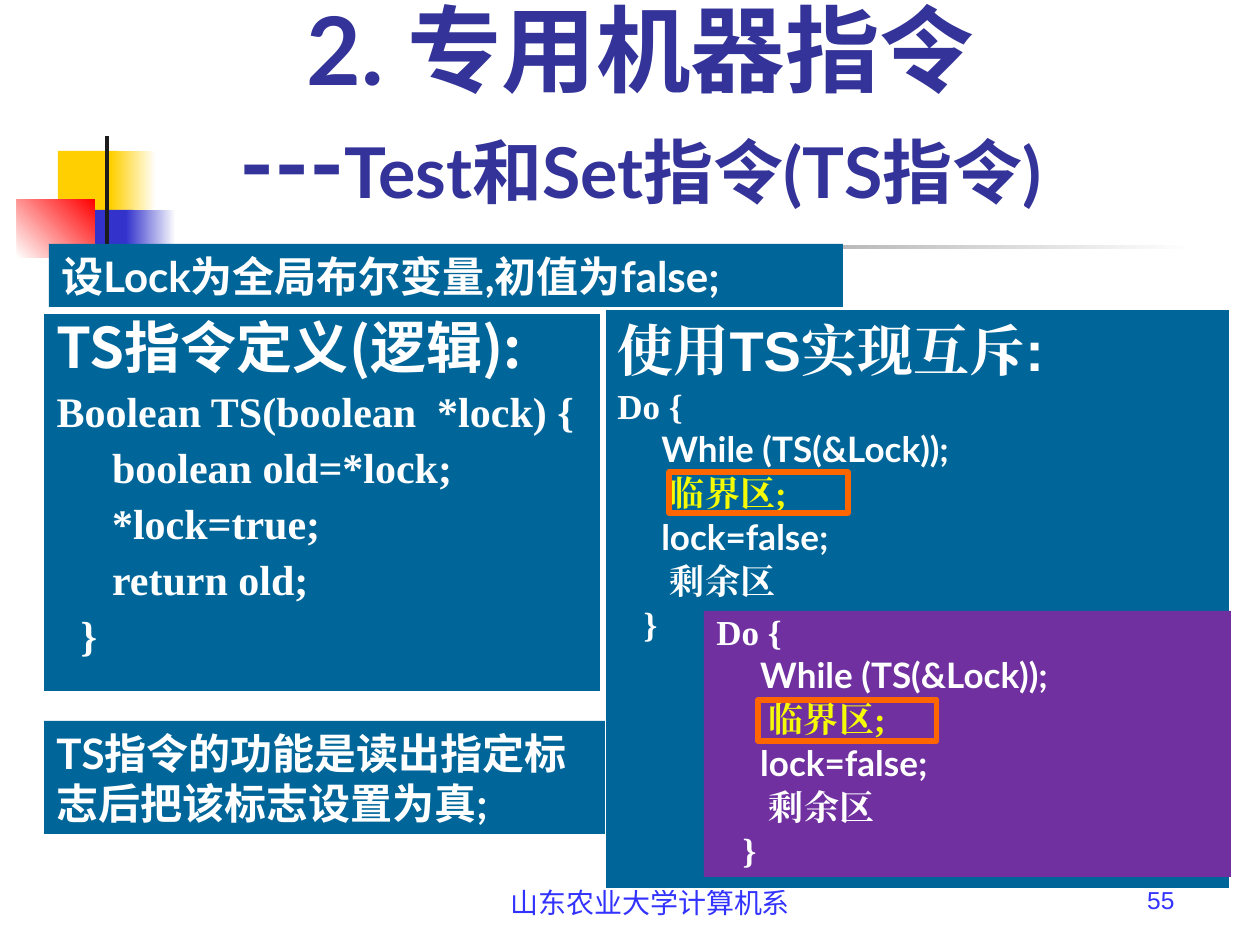
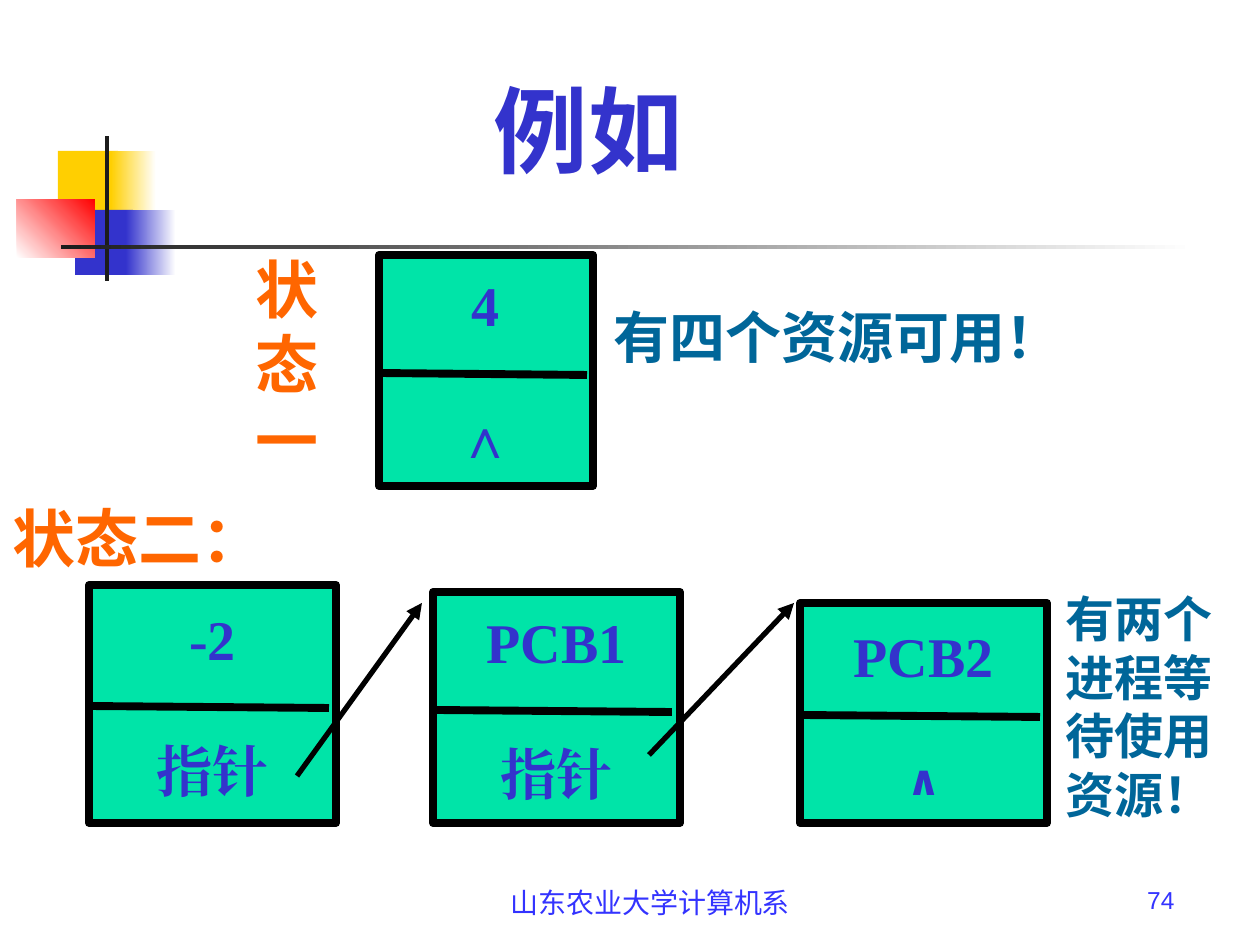
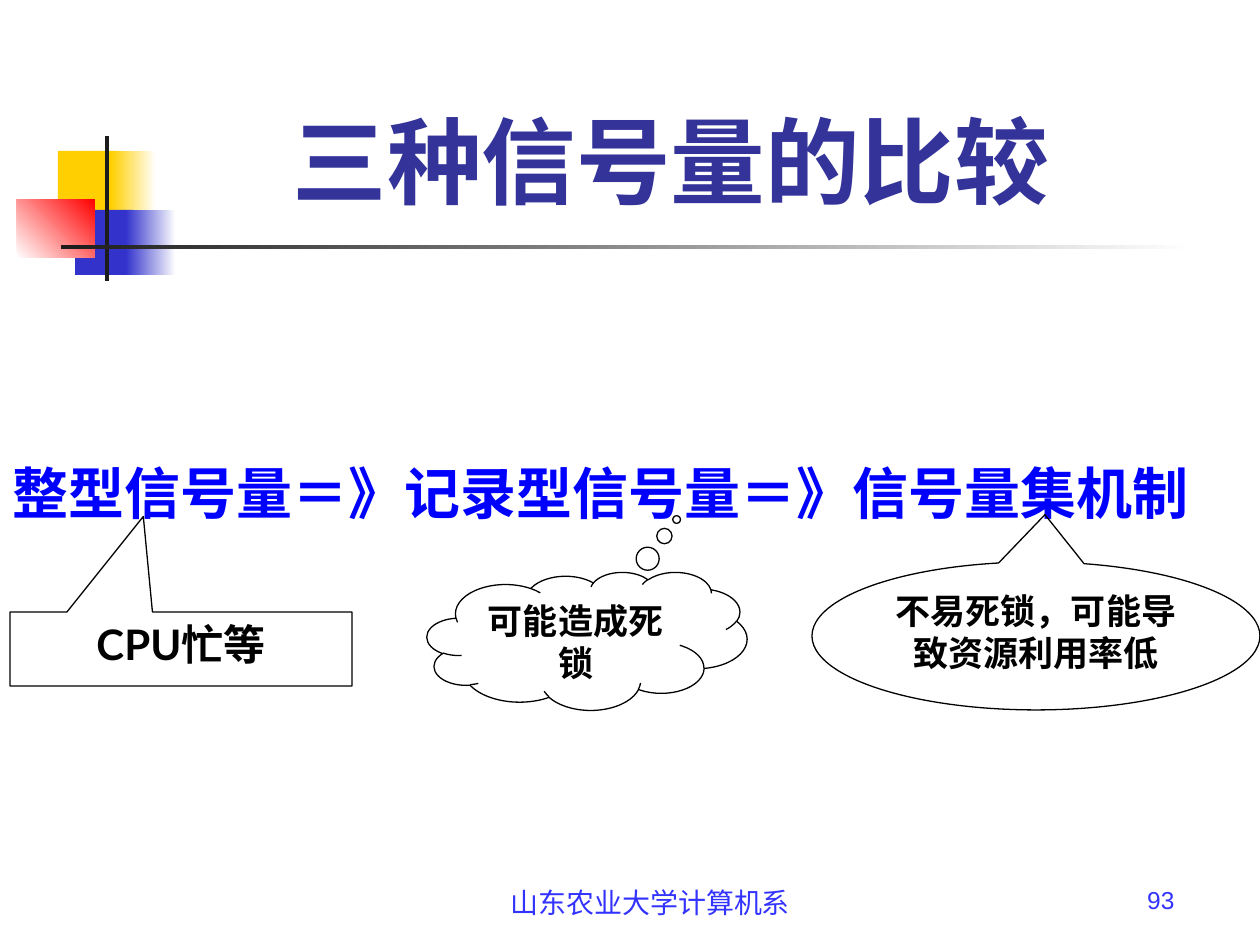
from lxml import etree
from pptx import Presentation
from pptx.dml.color import RGBColor
from pptx.enum.shapes import MSO_CONNECTOR, MSO_SHAPE
from pptx.enum.text import MSO_ANCHOR, MSO_AUTO_SIZE, PP_ALIGN
from pptx.oxml.ns import qn
from pptx.util import Emu, Pt

PX = 914400 / 126
C = {
    "yellow": "FFCF01", "blue": "3333CC", "red": "FF0000", "white": "FFFFFF",
    "dark": "1C1C1C", "footer": "3333FF", "title": "333399", "teal": "006699",
    "purple": "7030A0", "orange": "FF6600", "lemon": "F5FB05", "green": "00E4A8",
    "black": "000000", "pure_blue": "0000FF",
}
C = {name: RGBColor.from_string(value) for name, value in C.items()}
SERIF = "Times New Roman"
RECT = MSO_SHAPE.RECTANGLE


def add_box(s, kind, at, fill=None, line=None, width=0.75):
    sp = s.shapes.add_shape(kind, *[Emu(int(v * PX)) for v in at])
    sp.shadow.inherit = False
    if fill:
        sp.fill.solid()
        sp.fill.fore_color.rgb = C[fill]
    else:
        sp.fill.background()
    if line:
        sp.line.color.rgb = C[line]
        sp.line.width = Pt(width)
    else:
        sp.line.fill.background()
    return sp


def write(sp, lines, size, color, font="Lato", align=PP_ALIGN.LEFT,
          bold=True, anchor=MSO_ANCHOR.TOP):
    tf = sp.text_frame
    tf.word_wrap = True
    tf.auto_size = MSO_AUTO_SIZE.NONE
    tf.vertical_anchor = anchor
    for i, line in enumerate(lines):
        p = tf.paragraphs[0] if i == 0 else tf.add_paragraph()
        p.text = line
        p.alignment = align
        p.font.size = Pt(size)
        p.font.bold = bold
        p.font.color.rgb = C[color]
        p.font.name = font
        rpr = p._p.pPr.find(qn("a:defRPr"))
        etree.SubElement(rpr, qn("a:ea"), typeface=font)
    return tf.paragraphs


prs = Presentation()
prs.slide_width = Emu(int(1260 * PX))
prs.slide_height = Emu(int(945 * PX))

pages = [
    (1, "55", "2. 专用机器指令\v---", (64, 0, 1153, 224), "title", PP_ALIGN.CENTER, MSO_ANCHOR.BOTTOM),
    (5, "74", "例如", (481, 66, 437, 126), "blue", PP_ALIGN.LEFT, MSO_ANCHOR.TOP),
    (5, "93", "三种信号量的比较", (134, 66, 1074, 157), "title", PP_ALIGN.CENTER, MSO_ANCHOR.BOTTOM),
]
decor = [
    ((58, 151, 60, 66), "yellow", None, 0),
    ((111, 151, 45, 66), "yellow", "white", 0),
    ((75, 210, 58, 65), "blue", None, 0),
    ((126, 210, 50, 65), "blue", "white", 0),
    ((17, 199, 78, 59), "white", "red", 45),
    ((105, 136, 4, 145), "dark", None, 0),
    ((61, 245, 1134, 4), "dark", "white", 0),
]
for layout, number, title, at, color, align, anchor in pages:
    s = prs.slides.add_slide(prs.slide_layouts[layout])
    sp = s.shapes.title
    sp.left, sp.top, sp.width, sp.height = [Emu(int(v * PX)) for v in at]
    write(sp, [title], 54, color, align=align, anchor=anchor)
    for place, start, end, angle in decor:
        sp = add_box(s, RECT, place, start)
        if end:
            sp.fill.gradient()
            sp.fill.gradient_angle = angle
            for stop, name in zip(sp.fill.gradient_stops, (start, end)):
                stop.color.rgb = C[name]
    sp = add_box(s, RECT, (451, 879, 399, 66))
    write(sp, ["山东农业大学计算机系"], 16, "footer", "Arial", PP_ALIGN.CENTER, False)
    sp = add_box(s, RECT, (872, 879, 315, 66))
    write(sp, [number], 14, "footer", "Arial", PP_ALIGN.RIGHT, False)

s = prs.slides[0]
r = s.shapes.title.text_frame.paragraphs[0].add_run()
r.text = "Test和Set指令(TS指令)"
r.font.size = Pt(40)

body = s.placeholders[1]
body.left, body.top, body.width, body.height = [Emu(int(v * PX)) for v in (44, 314, 556, 377)]
body.fill.solid()
body.fill.fore_color.rgb = C["teal"]
definition = ["TS指令定义(逻辑):", "Boolean TS(boolean  *lock) {", "   boolean old=*lock;",
              "   *lock=true;", "   return old;", "}"]
for i, p in enumerate(write(body, definition, 32, "white", "Noto Sans CJK SC")):
    pPr = p._p.pPr
    pPr.set("marL", str(int(24 * PX) if i > 1 else 0))
    pPr.set("indent", "0")
    pPr.find(qn("a:defRPr")).addprevious(etree.Element(qn("a:buNone")))
    p.line_spacing = 0.9
    p.space_before = Pt(6 if i else 0)
    if i:
        p.font.size = Pt(24)
        p.font.name = SERIF

code = ["Do {", "     ", "      ", "     ", "      剩余区", "   }"]
code_runs = [(1, "While (TS(&Lock));", "Lato", "white"),
             (2, "临界区;", SERIF, "lemon"),
             (3, "lock=false;", "Lato", "white")]
panels = [
    ((605, 309, 625, 580), "teal", "white", ["使用TS实现互斥:"], (669, 472, 179, 41)),
    ((704, 611, 527, 266), "purple", None, [], (758, 700, 179, 41)),
]
for at, fill, line, heading, frame in panels:
    sp = add_box(s, RECT, at, fill, line)
    paragraphs = write(sp, heading + code, 20, "white", SERIF)
    for p in paragraphs[len(heading):]:
        p.line_spacing = Pt(20)
        p.space_before = Pt(5)
    paragraphs[0].space_before = Pt(0)
    if heading:
        paragraphs[0].font.size = Pt(32)
        paragraphs[0].font.name = "Arial"
    for i, text, font, color in code_runs:
        r = paragraphs[len(heading) + i].add_run()
        r.text = text
        r.font.name = font
        r.font.color.rgb = C[color]
    add_box(s, RECT, frame, line="orange", width=3)

notes = [((49, 244, 794, 63), "设Lock为全局布尔变量,初值为false;"),
         ((44, 721, 561, 113), "TS指令的功能是读出指定标志后把该标志设置为真;")]
for at, text in notes:
    write(add_box(s, RECT, at, "teal"), [text], 24, "white")

s = prs.slides[1]
nodes = [
    ((379, 255, 214, 231), "4", "∧", SERIF, 32),
    ((800, 603, 247, 220), "PCB2", "∧", "Lato", 24),
    ((433, 592, 247, 231), "PCB1", "指针", SERIF, 32),
    ((89, 585, 247, 238), "-2", "指针", SERIF, 32),
]
for at, value, pointer, font, size in nodes:
    sp = add_box(s, RECT, at, "green", "black", 4.5)
    p = write(sp, [value, pointer], 32, "blue", SERIF, PP_ALIGN.CENTER,
              anchor=MSO_ANCHOR.MIDDLE)[1]
    p.space_before = Pt(37)
    p.font.size = Pt(size)
    p.font.name = font

links = [
    (379, 373, 587, 375, False), (800, 715, 1040, 717, False),
    (433, 710, 672, 712, False), (89, 706, 329, 708, False),
    (297, 776, 422, 603, True), (649, 755, 794, 603, True),
]
for x1, y1, x2, y2, arrow in links:
    cn = s.shapes.add_connector(MSO_CONNECTOR.STRAIGHT, *[Emu(int(v * PX)) for v in (x1, y1, x2, y2)])
    cn.line.color.rgb = C["black"]
    cn.line.width = Pt(3 if arrow else 4.5)
    if arrow:
        etree.SubElement(cn.line._get_or_add_ln(), qn("a:tailEnd"), type="triangle")
    etree.SubElement(cn._element.spPr, qn("a:effectLst"))

labels = [
    ((601, 296, 507, 81), "有四个资源可用！", 32, "teal"),
    ((243, 244, 84, 240), "状态一", 36, "orange"),
    ((1053, 582, 207, 248), "有两个进程等待使用资源！", 28, "teal"),
    ((0, 493, 309, 88), "状态二：", 36, "orange"),
]
for at, text, size, color in labels:
    write(add_box(s, RECT, at), [text], size, color)

s = prs.slides[2]
sp = add_box(s, RECT, (0, 452, 1245, 81))
write(sp, ["整型信号量＝》记录型信号量＝》信号量集机制"], 32, "pure_blue", "Noto Sans CJK SC")
callouts = [
    (MSO_SHAPE.RECTANGULAR_CALLOUT, (10, 612, 342, 74), (-0.11, -1.79), "CPU忙等", 24),
    (MSO_SHAPE.CLOUD_CALLOUT, (427, 572, 320, 138), (0.28, -0.88), "可能造成死锁", 20),
    (MSO_SHAPE.OVAL_CALLOUT, (812, 562, 448, 148), (0.02, -0.82), "不易死锁，可能导致资源利用率低", 20),
]
for kind, at, tip, text, size in callouts:
    sp = add_box(s, kind, at, line="black")
    sp.adjustments[0], sp.adjustments[1] = tip
    write(sp, [text], size, "black", align=PP_ALIGN.CENTER)

prs.save("out.pptx")
